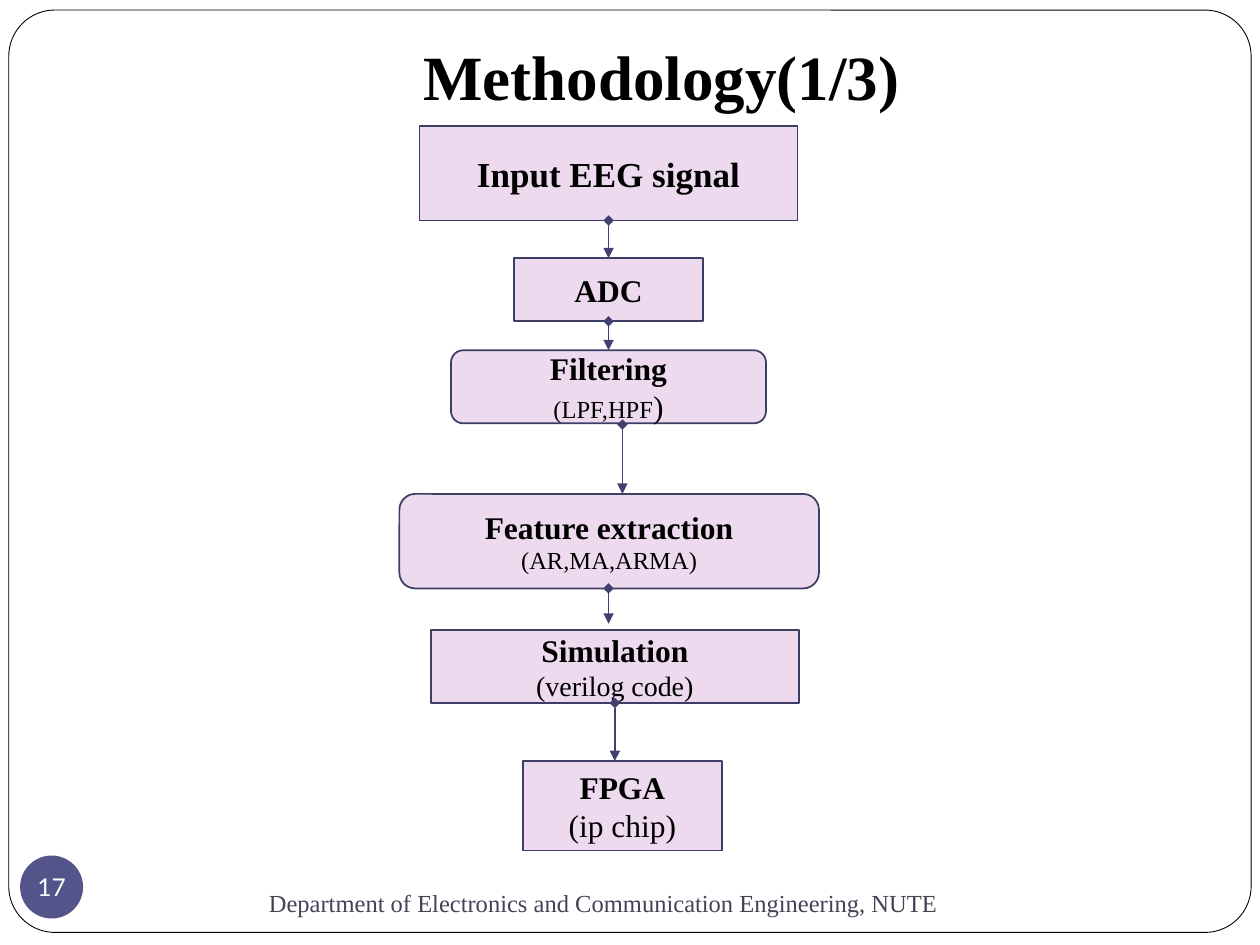
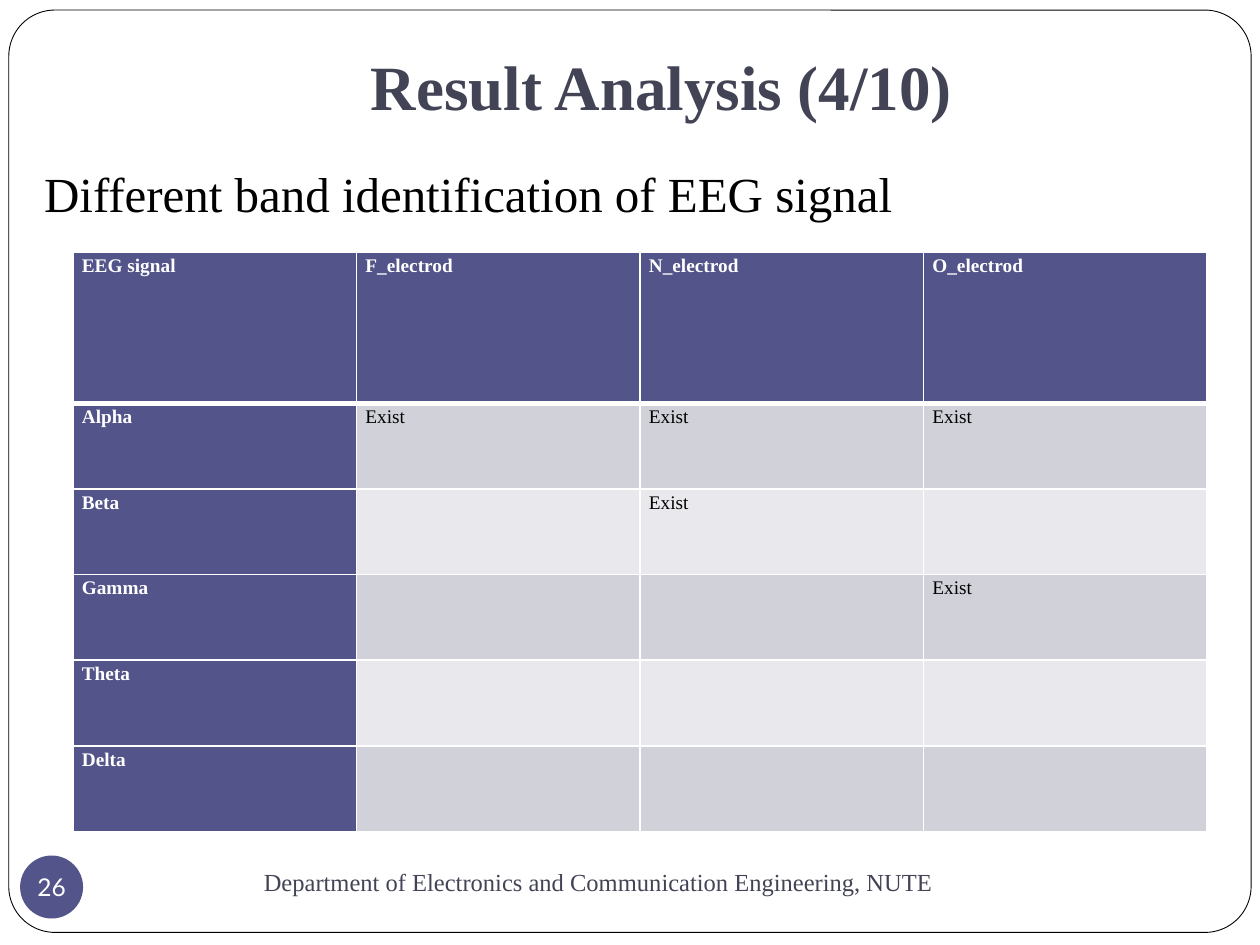
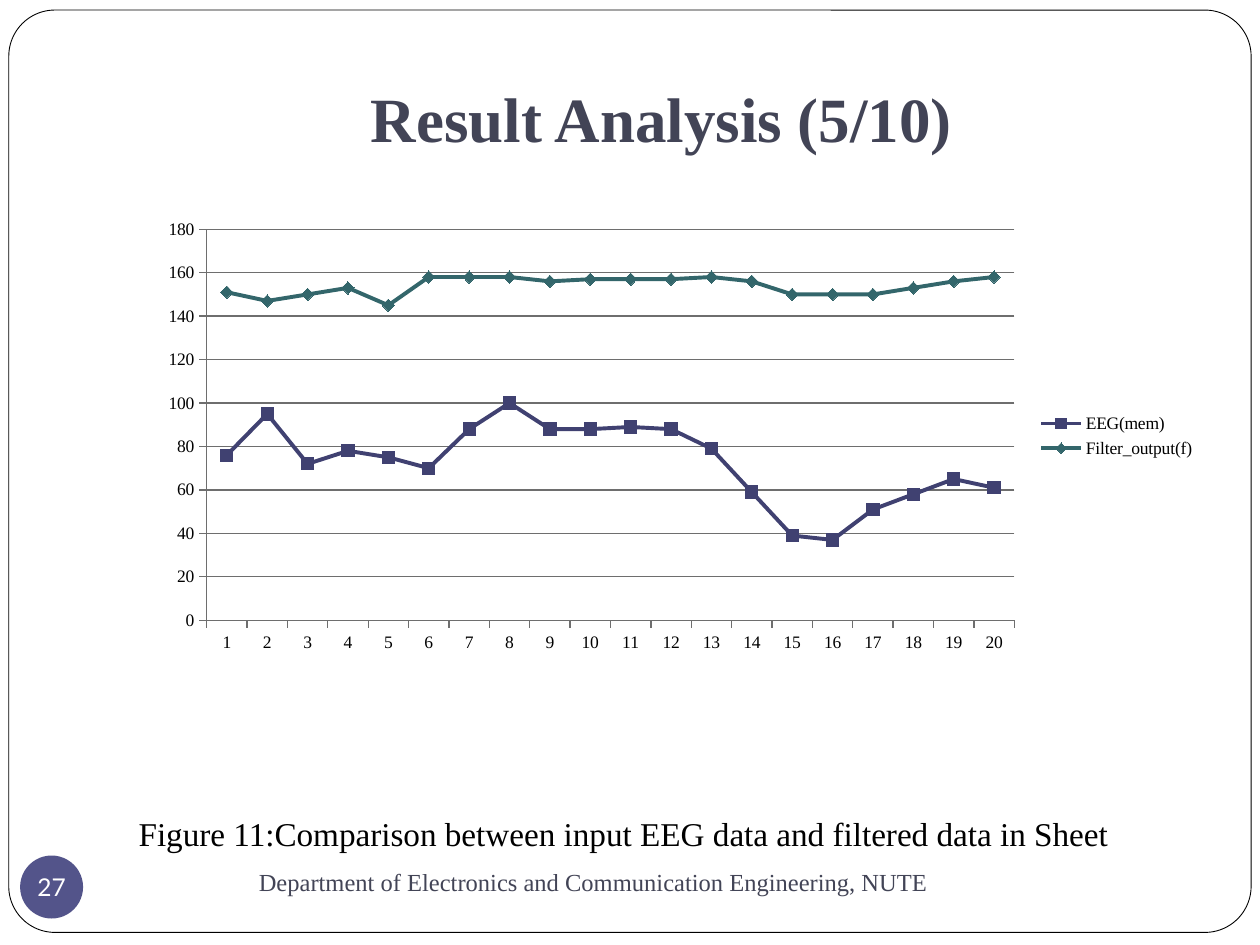
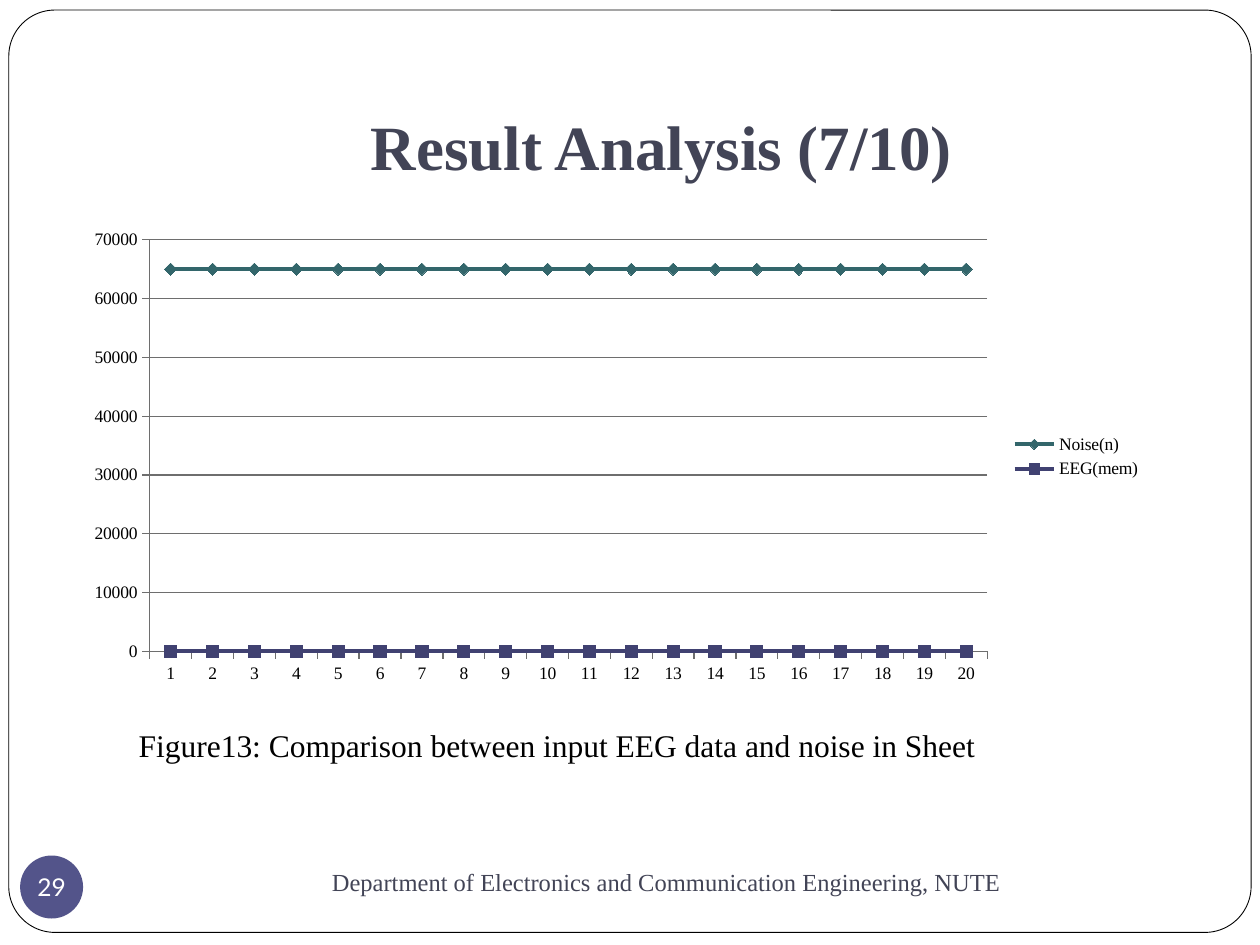
from lxml.etree import SubElement
from pptx import Presentation
from pptx.chart.data import CategoryChartData
from pptx.dml.color import RGBColor
from pptx.enum.chart import XL_CHART_TYPE as ChartType
from pptx.enum.chart import XL_LEGEND_POSITION as LegendPosition
from pptx.enum.chart import XL_MARKER_STYLE as MarkerStyle
from pptx.enum.chart import XL_TICK_MARK as TickMark
from pptx.enum.shapes import MSO_CONNECTOR as Connector
from pptx.enum.shapes import MSO_SHAPE as Preset
from pptx.enum.text import MSO_ANCHOR as Anchor
from pptx.enum.text import MSO_AUTO_SIZE as AutoSize
from pptx.enum.text import PP_ALIGN as Align
from pptx.oxml.ns import qn
from pptx.util import Inches, Pt

BLACK = RGBColor(0x00, 0x00, 0x00)
WHITE = RGBColor(0xFF, 0xFF, 0xFF)
SLATE = RGBColor(0x42, 0x44, 0x56)
INDIGO = RGBColor(0x53, 0x54, 0x8A)
DARK_INDIGO = RGBColor(0x40, 0x41, 0x71)
DARK_TEAL = RGBColor(0x33, 0x66, 0x6B)
BOX_LINE = RGBColor(0x3D, 0x3E, 0x66)
BOX_FILL = RGBColor(0xED, 0xDA, 0xEE)
BAND_DARK = RGBColor(0xD1, 0xD1, 0xDA)
BAND_LIGHT = RGBColor(0xE9, 0xE9, 0xED)
GRID = RGBColor(0x6E, 0x6E, 0x6E)

SERIF = "Times New Roman"
SANS = "Lato"
FOOTER = "Department of Electronics and Communication Engineering, NUTE"
TITLE_ONLY, TITLE_AND_BODY = 5, 1

FLOW_BOXES = [
    (Preset.RECTANGLE, (3.33, 1, 3, 0.75), [[("Input EEG signal", 20, True)]]),
    (Preset.RECTANGLE, (4.08, 2.05, 1.5, 0.5), [[("ADC", 18, True)]]),
    (Preset.ROUNDED_RECTANGLE, (3.58, 2.78, 2.5, 0.58),
     [[("Filtering", 18, True)], [("(LPF,HPF", 14, False), (")", 18, False)]]),
    (Preset.ROUNDED_RECTANGLE, (3.17, 3.92, 3.33, 0.75),
     [[("Feature extraction", 18, True)], [("(AR,MA,ARMA)", 14, False)]]),
    (Preset.RECTANGLE, (3.42, 5, 2.92, 0.58),
     [[("Simulation", 18, True)], [("(verilog code)", 16, False)]]),
    (Preset.RECTANGLE, (4.15, 6.04, 1.58, 0.71),
     [[("FPGA", 18, True)], [("(ip chip)", 18, False)]]),
]
FLOW_ARROWS = [(4.83, 1.75, 2.05), (4.83, 2.55, 2.78), (4.94, 3.37, 3.92),
               (4.83, 4.67, 4.95), (4.88, 5.58, 6.04)]

BAND_ROWS = [
    ("EEG signal", "F_electrod", "N_electrod", "O_electrod"),
    ("Alpha", "Exist", "Exist", "Exist"),
    ("Beta", "", "Exist", ""),
    ("Gamma", "", "", "Exist"),
    ("Theta", "", "", ""),
    ("Delta", "", "", ""),
]

EEG_STYLE = (DARK_INDIGO, MarkerStyle.SQUARE)
OUTPUT_STYLE = (DARK_TEAL, MarkerStyle.DIAMOND)
EEG_VALUES = (76, 95, 72, 78, 75, 70, 88, 100, 88, 88,
              89, 88, 79, 59, 39, 37, 51, 58, 65, 61)
FILTER_VALUES = (151, 147, 150, 153, 145, 158, 158, 158, 156, 157,
                 157, 157, 158, 156, 150, 150, 150, 153, 156, 158)
SAMPLES = len(EEG_VALUES)


def place(shape, box):
    shape.left, shape.top, shape.width, shape.height = map(Inches, box)


def add_run(paragraph, text, size, color, bold=False, font=SERIF):
    run = paragraph.add_run()
    run.text = text
    run.font.name = font
    run.font.size = Pt(size)
    run.font.bold = bold
    run.font.color.rgb = color


def set_frame(shape, anchor, wrap=True):
    frame = shape.text_frame
    frame.word_wrap = wrap
    frame.auto_size = AutoSize.NONE
    frame.vertical_anchor = anchor
    return frame


def add_preset(slide, preset, box, fill, line=None, width=1):
    shape = slide.shapes.add_shape(preset, *map(Inches, box))
    shape.shadow.inherit = False
    shape.fill.solid()
    shape.fill.fore_color.rgb = fill
    if line is None:
        shape.line.fill.background()
    else:
        shape.line.color.rgb = line
        shape.line.width = Pt(width)
    return shape


def add_master_border(presentation, slide):
    border = add_preset(slide, Preset.ROUNDED_RECTANGLE, (0.07, 0.08, 9.86, 7.32),
                        WHITE, BLACK, 0.5)
    border.adjustments[0] = 0.05
    border.element.xpath(".//p:cNvPr")[0].set("id", "100")
    presentation.slide_master.shapes.element.insert(2, border.element)


def add_title(slide, text, box, color=SLATE):
    place(slide.shapes.title, box)
    frame = set_frame(slide.shapes.title, Anchor.BOTTOM)
    frame.margin_bottom = Inches(0.1)
    paragraph = frame.paragraphs[0]
    paragraph.alignment = Align.CENTER
    add_run(paragraph, text, 36, color, bold=True)


def add_footer(slide, number, width, top=6.75, height=0.5):
    footer = slide.shapes.add_textbox(*map(Inches, (1, top, width, height)))
    paragraph = set_frame(footer, Anchor.MIDDLE).paragraphs[0]
    paragraph.alignment = Align.CENTER
    add_run(paragraph, FOOTER, 14, SLATE)

    badge = add_preset(slide, Preset.OVAL, (0.16, 6.79, 0.5, 0.5), INDIGO)
    frame = set_frame(badge, Anchor.MIDDLE, wrap=False)
    frame.margin_left = frame.margin_right = frame.margin_top = frame.margin_bottom = 0
    frame.paragraphs[0].alignment = Align.CENTER
    add_run(frame.paragraphs[0], str(number), 14, WHITE, font=SANS)


def add_body(slide, text, size, box, anchor=Anchor.MIDDLE):
    body = slide.placeholders[1]
    place(body, box)
    paragraph = set_frame(body, anchor).paragraphs[0]
    paragraph.space_before = Pt(5.8)
    properties = paragraph._p.get_or_add_pPr()
    properties.set("marL", "0")
    properties.set("indent", "0")
    SubElement(properties, qn("a:buNone"))
    add_run(paragraph, text, size, BLACK)


def add_flow_box(slide, preset, box, lines):
    shape = add_preset(slide, preset, box, BOX_FILL, BOX_LINE)
    frame = set_frame(shape, Anchor.MIDDLE)
    for index, runs in enumerate(lines):
        paragraph = frame.add_paragraph() if index else frame.paragraphs[0]
        paragraph.alignment = Align.CENTER
        for text, size, bold in runs:
            add_run(paragraph, text, size, BLACK, bold)


def add_down_arrow(slide, x, top, bottom):
    arrow = slide.shapes.add_connector(Connector.STRAIGHT, *map(Inches, (x, top, x, bottom)))
    arrow.line.color.rgb = DARK_INDIGO
    arrow.line.width = Pt(0.75)
    line = arrow.line._get_or_add_ln()
    SubElement(line, qn("a:headEnd"), type="diamond")
    SubElement(line, qn("a:tailEnd"), type="triangle")
    SubElement(arrow.element.spPr, qn("a:effectLst"))


def set_borders(cell, **widths):
    properties = cell._tc.get_or_add_tcPr()
    for index, side in enumerate("LRTB"):
        width = Pt(widths.get(side, 1))
        line = properties.makeelement(qn(f"a:ln{side}"), {"w": str(width)})
        fill = SubElement(line, qn("a:solidFill"))
        SubElement(fill, qn("a:srgbClr"), val=str(WHITE))
        properties.insert(index, line)


def add_band_table(slide, rows):
    columns = len(rows[0])
    table = slide.shapes.add_table(len(rows), columns,
                                   *map(Inches, (0.58, 2, 9, 4.6))).table
    for row_index, values in enumerate(rows):
        table.rows[row_index].height = Inches(0.68 if row_index else 1.2)
        for column_index, text in enumerate(values):
            cell = table.cell(row_index, column_index)
            heading = row_index == 0 or column_index == 0
            band = BAND_DARK if row_index % 2 else BAND_LIGHT
            cell.fill.solid()
            cell.fill.fore_color.rgb = INDIGO if heading else band
            cell.margin_left = cell.margin_right = Inches(0.07)
            cell.margin_top = cell.margin_bottom = 0
            set_borders(cell, B=1 if row_index else 3, T=3 if row_index == 1 else 1)
            if text:
                paragraph = cell.text_frame.paragraphs[0]
                paragraph.line_spacing = 1.15
                add_run(paragraph, text, 11, WHITE if heading else BLACK, heading)


def add_line_chart(slide, chart_type, box, series_list):
    data = CategoryChartData()
    data.categories = [str(sample) for sample in range(1, SAMPLES + 1)]
    for name, values, _ in series_list:
        data.add_series(name, values)
    chart = slide.shapes.add_chart(chart_type, *map(Inches, box), data).chart
    chart.has_title = False
    chart.font.name = SERIF
    chart.font.size = Pt(10)
    chart.font.color.rgb = BLACK
    chart.has_legend = True
    chart.legend.position = LegendPosition.RIGHT
    chart.legend.include_in_layout = False
    chart.value_axis.has_major_gridlines = True
    chart.value_axis.major_gridlines.format.line.color.rgb = GRID
    for axis in (chart.category_axis, chart.value_axis):
        axis.major_tick_mark = TickMark.OUTSIDE
        axis.format.line.color.rgb = GRID
    plot = chart.plots[0]
    plot.vary_by_categories = False
    for series, (_, _, (color, marker_style)) in zip(plot.series, series_list):
        series.smooth = False
        series.format.line.color.rgb = color
        series.format.line.width = Pt(2.25)
        series.marker.style = marker_style
        series.marker.size = 7
        series.marker.format.fill.solid()
        series.marker.format.fill.fore_color.rgb = color
        series.marker.format.line.color.rgb = color


def add_methodology(presentation):
    slide = presentation.slides.add_slide(presentation.slide_layouts[TITLE_ONLY])
    add_master_border(presentation, slide)
    add_title(slide, "Methodology(1/3)", (1, 0.17, 8.5, 0.83), BLACK)
    add_footer(slide, 17, 7.58, top=7, height=0.33)
    for preset, box, lines in FLOW_BOXES:
        add_flow_box(slide, preset, box, lines)
    for x, top, bottom in FLOW_ARROWS:
        add_down_arrow(slide, x, top, bottom)


def add_result(presentation, part, number, title_height, footer_width):
    slide = presentation.slides.add_slide(presentation.slide_layouts[TITLE_AND_BODY])
    add_title(slide, f"Result Analysis ({part}/10)", (1, 0.3, 8.5, title_height))
    add_footer(slide, number, footer_width)
    return slide


def main():
    presentation = Presentation()
    presentation.slide_width = Inches(10)
    presentation.slide_height = Inches(7.5)

    add_methodology(presentation)

    bands = add_result(presentation, 4, 26, 0.78, 7.5)
    add_body(bands, "Different band identification of EEG signal", 28,
             (0.25, 1.25, 9.5, 5.33), Anchor.TOP)
    add_band_table(bands, BAND_ROWS)

    filtered = add_result(presentation, 5, 27, 1.03, 7.42)
    add_body(filtered, "Figure 11:Comparison between input EEG data and filtered data in Sheet",
             19, (1, 6.36, 8.5, 0.5))
    add_line_chart(filtered, ChartType.LINE_MARKERS, (1.17, 1.67, 8.42, 3.58),
                   [("EEG(mem)", EEG_VALUES, EEG_STYLE),
                    ("Filter_output(f)", FILTER_VALUES, OUTPUT_STYLE)])

    noise = add_result(presentation, 7, 29, 1.25, 8.58)
    add_body(noise, "Figure13: Comparison between input EEG data and noise in Sheet",
             18, (1, 5.66, 8.5, 0.5))
    add_line_chart(noise, ChartType.LINE_MARKERS_STACKED, (0.58, 1.75, 8.58, 3.75),
                   [("EEG(mem)", [0] * SAMPLES, EEG_STYLE),
                    ("Noise(n)", [65000] * SAMPLES, OUTPUT_STYLE)])

    presentation.save("out.pptx")


if __name__ == "__main__":
    main()
